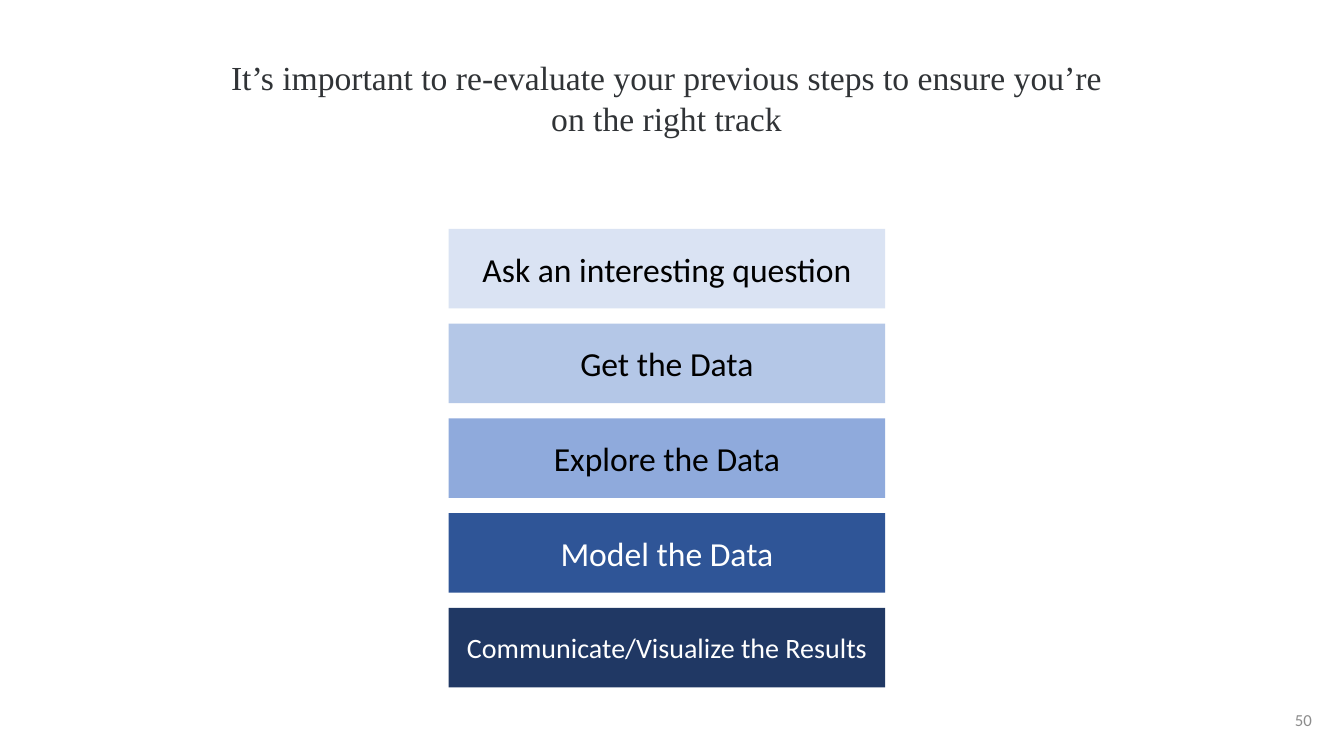
from dataclasses import dataclass

from pptx import Presentation
from pptx.dml.color import RGBColor
from pptx.enum.shapes import MSO_SHAPE
from pptx.enum.text import MSO_ANCHOR, MSO_AUTO_SIZE, PP_ALIGN
from pptx.util import Emu, Pt

SCALE = 9144


@dataclass(frozen=True)
class Theme:
    """Colours, fonts and type sizes of the slide."""
    serif: str = "Times New Roman"
    sans: str = "Calibri"
    title: str = "303336"
    dark: str = "000000"
    light: str = "FFFFFF"
    muted: str = "8C8C8C"
    large: int = 24
    medium: int = 20
    small: int = 12
    leading: float = 29.2


THEME = Theme()
STEPS = [
    ("Ask an interesting question", "DAE3F3", THEME.dark, THEME.large),
    ("Get the Data", "B4C7E7", THEME.dark, THEME.large),
    ("Explore the Data", "8FAADC", THEME.dark, THEME.large),
    ("Model the Data", "2F5597", THEME.light, THEME.large),
    ("Communicate/Visualize the Results", "203864", THEME.light, THEME.medium),
]


def px(*sizes):
    """Turn whole pixels into EMU lengths."""
    return [Emu(size * SCALE) for size in sizes]


def write(shape, text, font, size, color, align, anchor):
    """Write one styled run into a shape and return its paragraph."""
    frame = shape.text_frame
    frame.word_wrap = True
    frame.auto_size = MSO_AUTO_SIZE.NONE
    frame.vertical_anchor = anchor
    para = frame.paragraphs[0]
    para.alignment = align
    run = para.add_run()
    run.text = text
    run.font.name = font
    run.font.size = Pt(size)
    run.font.color.rgb = RGBColor.from_string(color)
    return para


def add_title(slide, box, text):
    """Place the centred heading in its box."""
    title = slide.shapes.title
    title.left, title.top, title.width, title.height = px(*box)
    para = write(title, text, THEME.serif, THEME.large, THEME.title,
                 PP_ALIGN.CENTER, MSO_ANCHOR.TOP)
    para.line_spacing = Pt(THEME.leading)


def add_steps(slide, box, steps, gap):
    """Stack the steps as equal bars that fill the box."""
    left, top, width, height = box
    tall = (height - gap * (len(steps) - 1)) // len(steps)
    for row, (text, fill, color, size) in enumerate(steps):
        place = px(left, top + row * (tall + gap), width, tall)
        bar = slide.shapes.add_shape(MSO_SHAPE.RECTANGLE, *place)
        bar.shadow.inherit = False
        bar.fill.solid()
        bar.fill.fore_color.rgb = RGBColor.from_string(fill)
        bar.line.fill.background()
        write(bar, text, THEME.sans, size, color,
              PP_ALIGN.CENTER, MSO_ANCHOR.MIDDLE)


def add_number(slide, box, text):
    """Place the page number at the right of its box."""
    number = slide.shapes.add_textbox(*px(*box))
    write(number, text, THEME.sans, THEME.small, THEME.muted,
          PP_ALIGN.RIGHT, MSO_ANCHOR.MIDDLE)


def main():
    """Build the slide and save it."""
    deck = Presentation()
    deck.slide_width, deck.slide_height = px(1333, 750)
    slide = deck.slides.add_slide(deck.slide_layouts[5])
    add_title(slide, (207, 51, 908, 91),
              "It’s important to re-evaluate your previous steps "
              "to ensure you’re on the right track")
    add_steps(slide, (445, 227, 433, 455), STEPS, 15)
    add_number(slide, (1256, 694, 55, 40), "50")
    deck.save("out.pptx")


if __name__ == "__main__":
    main()
